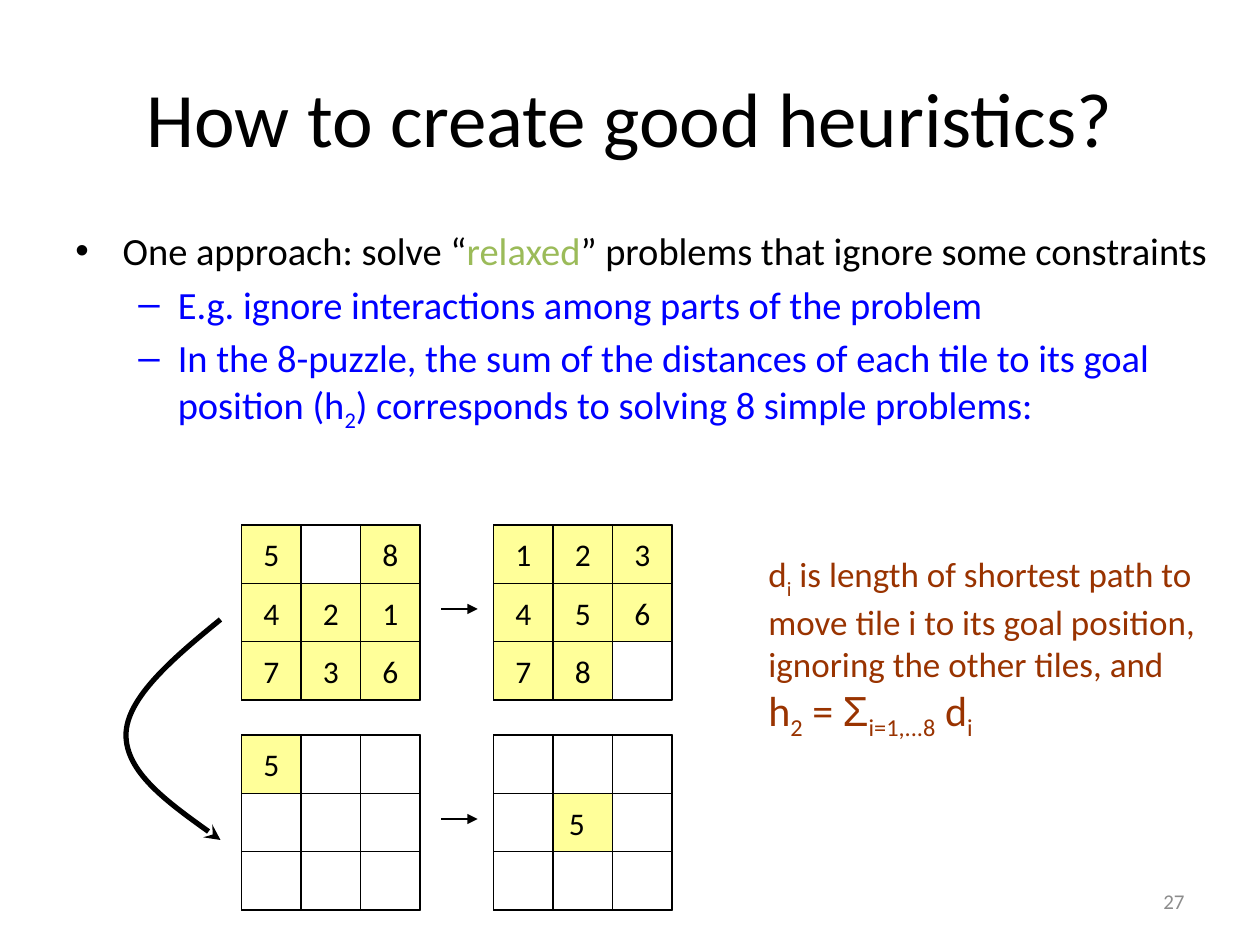
from copy import deepcopy
from dataclasses import dataclass

from lxml.etree import SubElement
from pptx import Presentation
from pptx.dml.color import RGBColor
from pptx.enum.shapes import MSO_CONNECTOR as Link, MSO_SHAPE as Preset
from pptx.enum.text import MSO_ANCHOR as Anchor, PP_ALIGN as Align
from pptx.oxml.ns import qn
from pptx.util import Pt

BLACK, BLUE, GREEN, BROWN, GRAY = "000000", "0000FF", "9BBB59", "993300", "8C8C8C"
WHITE, YELLOW = "FFFFFF", "FFFF99"
CELL_WIDTH, CELL_HEIGHT = 34, 33.33


@dataclass
class Span:
    text: str
    color: str = BLACK
    size: float = 18
    font: str = "Calibri"
    subscript: bool = False


@dataclass
class Line:
    spans: list[Span]
    align: Align = Align.LEFT
    bullet: str = ""
    margin: float = 0
    indent: float = 0
    space_before: float = 0


@dataclass
class Board:
    """Cells run row by row: '.' is a hole, '_' a white tile, '#' an unlabelled yellow one."""
    left: float
    top: float
    cells: str


BOARDS = [
    Board(138, 300, "5.8421736"),
    Board(282, 300, "12345678."),
    Board(138, 420, "5._______"),
    Board(282, 420, "_.__#____"),
]
ARROW_HEIGHTS = [348, 468]
CURVE = [(126, 354), (99, 376), (72, 399), (72, 420), (72, 441), (99, 461), (126, 480)]


def rgb(color: str) -> RGBColor:
    return RGBColor.from_string(color)


def write(shape, lines: list[Line], **frame_format) -> None:
    frame = shape.text_frame
    for name, value in frame_format.items():
        setattr(frame, name, value)
    for number, line in enumerate(lines):
        para = frame.add_paragraph() if number else frame.paragraphs[0]
        para.alignment = line.align
        para.space_before = Pt(line.space_before)
        if line.bullet:
            properties = para._p.get_or_add_pPr()
            properties.set("marL", str(Pt(line.margin)))
            properties.set("indent", str(Pt(line.indent)))
            SubElement(properties, qn("a:buFont"), typeface="Arial")
            SubElement(properties, qn("a:buChar"), char=line.bullet)
        for span in line.spans:
            run = para.add_run()
            run.text = span.text
            for name, value in {"name": span.font, "size": Pt(span.size)}.items():
                setattr(run.font, name, value)
            run.font.color.rgb = rgb(span.color)
            if span.subscript:
                run._r.get_or_add_rPr().set("baseline", "-25000")


def add_text(page, left: float, top: float, width: float, height: float,
             lines: list[Line], **frame_format) -> None:
    box = page.shapes.add_textbox(Pt(left), Pt(top), Pt(width), Pt(height))
    write(box, lines, **frame_format)


def set_line(shape, width: float, head: str = "") -> None:
    shape.line.color.rgb = rgb(BLACK)
    shape.line.width = Pt(width)
    if head:
        SubElement(shape.line._get_or_add_ln(), qn("a:tailEnd"), type=head)


def add_square(page, left: float, top: float, width: float, height: float, fill: str = ""):
    square = page.shapes.add_shape(Preset.RECTANGLE, Pt(left), Pt(top), Pt(width), Pt(height))
    square.shadow.inherit = False
    if fill:
        square.fill.solid()
        square.fill.fore_color.rgb = rgb(fill)
    else:
        square.fill.background()
    set_line(square, 0.75)
    return square


def draw_board(page, board: Board) -> None:
    add_square(page, board.left, board.top, 3 * CELL_WIDTH, 3 * CELL_HEIGHT)
    for index, cell in enumerate(board.cells):
        if cell == ".":
            continue
        row, column = divmod(index, 3)
        tile = add_square(page, board.left + column * CELL_WIDTH, board.top + row * CELL_HEIGHT,
                          CELL_WIDTH, CELL_HEIGHT, WHITE if cell == "_" else YELLOW)
        if cell.isdigit():
            write(tile, [Line([Span(cell)], Align.CENTER)],
                  word_wrap=False, vertical_anchor=Anchor.MIDDLE)


def draw_arrow(page, height: float) -> None:
    arrow = page.shapes.add_connector(Link.STRAIGHT, Pt(252), Pt(height), Pt(273), Pt(height))
    set_line(arrow, 0.75, "triangle")
    SubElement(arrow._element.spPr, qn("a:effectLst"))


def draw_curve(page, points: list[tuple[float, float]]) -> None:
    """Draw a Bézier arrow: a start, then two control points and an end per segment."""
    start, *others = [(Pt(x), Pt(y)) for x, y in points]
    builder = page.shapes.build_freeform(*start, scale=1.0)
    builder.add_line_segments(others, close=False)
    curve = builder.convert_to_shape()
    path = curve._element.find(".//" + qn("a:path"))
    for number, segment in enumerate(path.findall(qn("a:lnTo"))):
        if number % 3 == 0:
            bezier = SubElement(path, qn("a:cubicBezTo"))
        bezier.append(deepcopy(segment[0]))
        path.remove(segment)
    curve.shadow.inherit = False
    curve.fill.background()
    set_line(curve, 3, "stealth")


def body_lines() -> list[Line]:
    main = dict(bullet="•", margin=27, indent=-27, space_before=4.4)
    detail = dict(bullet="–", margin=58.5, indent=-22.5, space_before=4.4)
    return [
        Line([Span("One approach: solve “", size=22), Span("relaxed", GREEN, 22),
              Span("” problems that ignore some constraints", size=22)], **main),
        Line([Span("E.g. ignore interactions among parts of the problem", BLUE, 22)], **detail),
        Line([Span("In the 8-puzzle, the sum of the distances of each tile to its goal "
                   "position (h", BLUE, 22),
              Span("2", BLUE, 22, subscript=True),
              Span(") corresponds to solving 8 simple problems:", BLUE, 22)], **detail),
    ]


def definition_lines() -> list[Line]:
    return [
        Line([Span("d", BROWN, 20), Span("i", BROWN, 20, subscript=True),
              Span(" is length of shortest path to", BROWN, 20)]),
        Line([Span("move tile i to its goal position,", BROWN, 20)]),
        Line([Span("ignoring the other tiles, and", BROWN, 20)]),
        Line([Span("h", BROWN, 24), Span("2", BROWN, 24, subscript=True),
              Span(" = ", BROWN, 24), Span("Σ", BROWN, 24, "Arial"),
              Span("i=1,...8", BROWN, 24, subscript=True),
              Span(" d", BROWN, 24), Span("i", BROWN, 24, subscript=True)]),
    ]


def main() -> None:
    deck = Presentation()
    deck.slide_width, deck.slide_height = Pt(720), Pt(540)
    page = deck.slides.add_slide(deck.slide_layouts.get_by_name("Title Only"))

    title = page.shapes.title
    for name, value in dict(left=36, top=21.6, width=648, height=90).items():
        setattr(title, name, Pt(value))
    write(title, [Line([Span("How to create good heuristics?", size=44)], Align.CENTER)],
          vertical_anchor=Anchor.MIDDLE)

    add_text(page, 36, 126, 666, 414, body_lines(), word_wrap=True)
    add_text(page, 516, 500.4, 168, 28.8, [Line([Span("27", GRAY, 12)], Align.RIGHT)],
             word_wrap=True, vertical_anchor=Anchor.MIDDLE)
    for board in BOARDS:
        draw_board(page, board)
    for height in ARROW_HEIGHTS:
        draw_arrow(page, height)
    add_text(page, 318, 456, 24, 28.8, [Line([Span("5")])], word_wrap=False)
    draw_curve(page, CURVE)
    add_text(page, 432, 312, 260.6, 108.7, definition_lines(), word_wrap=False)
    deck.save("out.pptx")


if __name__ == "__main__":
    main()
